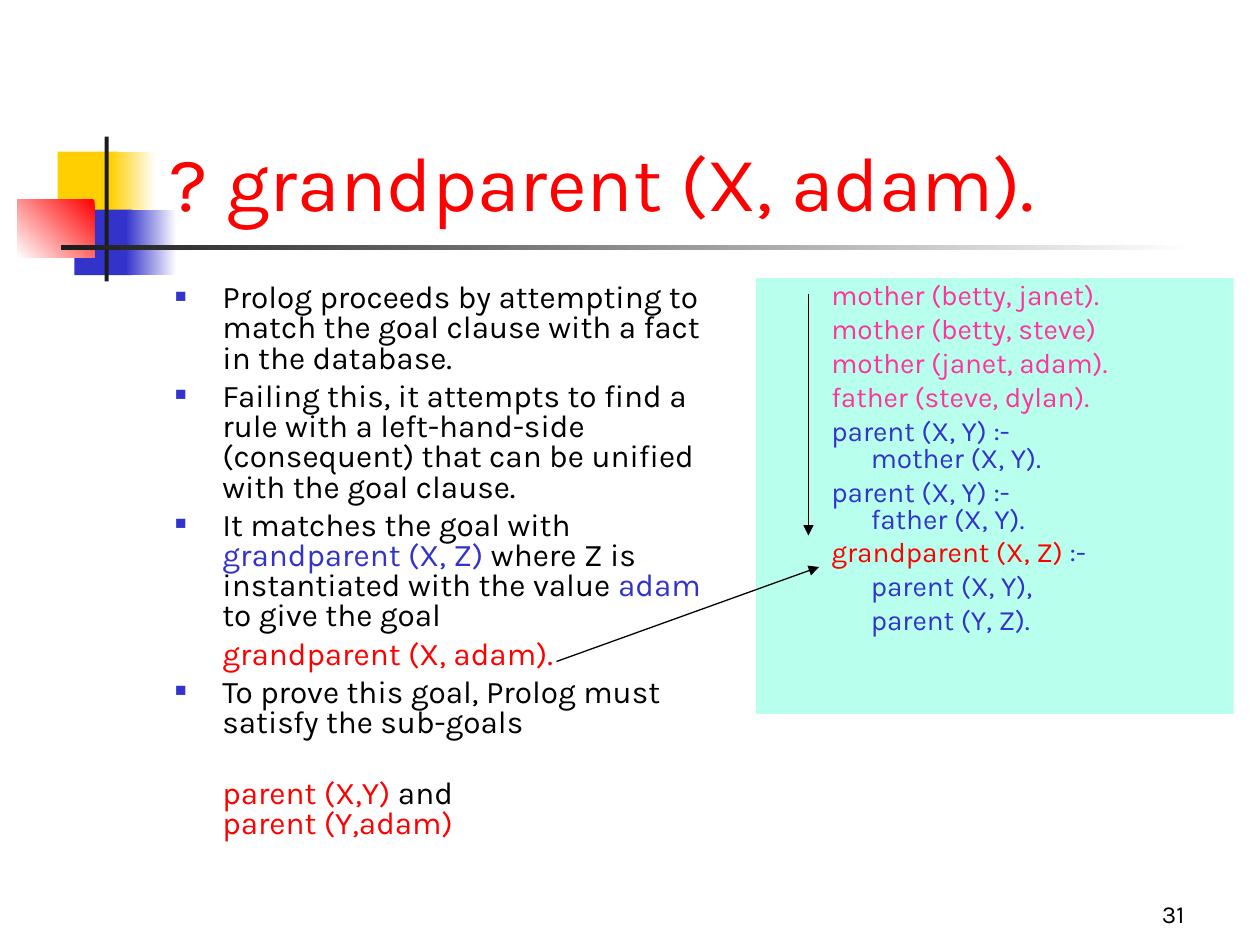
import pptx
import pptx.dml.color
import pptx.enum.shapes
import pptx.enum.text
import pptx.oxml.ns
import pptx.util
from lxml import etree

Pt = pptx.util.Pt
FONT = "Karla"
BLACK, WHITE, RED, BLUE = "000000", "FFFFFF", "FF0000", "3333CC"
YELLOW, CHARCOAL, PINK, MINT = "FFCF01", "1C1C1C", "FF3399", "B9FFED"


def color(hex_string):
    return pptx.dml.color.RGBColor.from_string(hex_string)


def add_element(parent, tag, **attributes):
    return etree.SubElement(parent, pptx.oxml.ns.qn(tag), attributes)


def add_block(slide, box, fill):
    """Add a borderless rectangle; fill is a colour or (start, end, angle)."""
    shape = slide.shapes.add_shape(
        pptx.enum.shapes.MSO_SHAPE.RECTANGLE, *map(Pt, box))
    shape.shadow.inherit = False
    shape.line.fill.background()
    if isinstance(fill, str):
        shape.fill.solid()
        shape.fill.fore_color.rgb = color(fill)
    else:
        start, end, angle = fill
        shape.fill.gradient()
        shape.fill.gradient_angle = angle
        for stop, hex_string in zip(shape.fill.gradient_stops, (start, end)):
            stop.color.rgb = color(hex_string)
    return shape


def add_text_frame(slide, box, anchor="TOP"):
    shape = slide.shapes.add_textbox(*map(Pt, box))
    shape.text_frame.word_wrap = True
    shape.text_frame.vertical_anchor = getattr(pptx.enum.text.MSO_ANCHOR, anchor)
    return shape


def add_runs(paragraph, runs, size):
    """Add (text, colour) runs, turning each newline into a line break."""
    for text, hex_string in runs:
        for index, part in enumerate(text.split("\n")):
            if index:
                paragraph.add_line_break()
            if part:
                run = paragraph.add_run()
                run.text = part
                run.font.name = FONT
                run.font.size = Pt(size)
                run.font.color.rgb = color(hex_string)


def add_paragraph(frame, index, runs, size, margin, indent, space_before):
    paragraph = frame.add_paragraph() if index else frame.paragraphs[0]
    paragraph.line_spacing = 0.8
    if index:
        paragraph.space_before = Pt(space_before)
    properties = paragraph._p.get_or_add_pPr()
    properties.set("marL", str(Pt(margin)))
    properties.set("indent", str(Pt(indent)))
    add_runs(paragraph, runs, size)
    return properties


def add_bullet(properties):
    bullet_color = add_element(properties, "a:buClr")
    add_element(bullet_color, "a:srgbClr", val=BLUE)
    add_element(properties, "a:buSzPct", val="60000")
    add_element(properties, "a:buFont", typeface="Arial")
    add_element(properties, "a:buChar", char="■")


def add_ornament(slide, left, top):
    """Add the coloured squares with the crossing bars."""
    parts = [
        ((23, 8.6, 34.5, 37.5), YELLOW),
        ((53, 8.6, 26, 37.5), (WHITE, YELLOW, 180)),
        ((32.5, 41.75, 33, 37.5), BLUE),
        ((62, 41.75, 29, 37.5), (WHITE, BLUE, 180)),
        ((0, 36, 44, 33.25), (RED, WHITE, 225)),
        ((49.75, 0, 2.4, 82.8), CHARCOAL),
        ((24.75, 62.25, 648, 2.5), (WHITE, CHARCOAL, 180)),
    ]
    for (x, y, width, height), fill in parts:
        add_block(slide, (left + x, top + y, width, height), fill)


def add_title(slide, box):
    frame = add_text_frame(slide, box, "BOTTOM").text_frame
    add_runs(frame.paragraphs[0], [("? grandparent (X, adam).", RED)], 44)


def add_explanation(slide, box):
    frame = add_text_frame(slide, box).text_frame
    gap, wide_gap = 4.5, 23
    paragraphs = [
        (True, gap, [("Prolog proceeds by attempting to match the goal clause "
                      "with a fact in the database.", BLACK)]),
        (True, gap, [("Failing this, it attempts to find a rule with a "
                      "left-hand-side (consequent) that can be unified with "
                      "the goal clause.", BLACK)]),
        (True, gap, [("It matches the goal with \n", BLACK),
                     ("grandparent (X, Z)", BLUE),
                     (" where Z is instantiated with the value ", BLACK),
                     ("adam", BLUE),
                     (" to give the goal", BLACK)]),
        (False, gap, [("grandparent (X, adam).", RED)]),
        (True, gap, [("To prove this goal, Prolog must satisfy the sub-goals",
                      BLACK)]),
        (False, wide_gap, [("parent (X,Y)", RED), (" and \n", BLACK),
                           ("parent (Y,adam)", RED)]),
    ]
    for index, (bulleted, space_before, runs) in enumerate(paragraphs):
        properties = add_paragraph(frame, index, runs, 18, 27,
                                   -27 if bulleted else 0, space_before)
        if bulleted:
            add_bullet(properties)


def add_database(slide, box):
    """Add the tinted panel with the facts and rules."""
    add_block(slide, box, MINT)
    frame = add_text_frame(slide, box).text_frame
    hanging = -22.5
    facts = ["mother (betty, janet).", "mother (betty, steve)",
             "mother (janet, adam).", "father (steve, dylan)."]
    clauses = [(hanging, [(fact, PINK)]) for fact in facts]
    clauses += [(hanging, [(f"parent (X, Y) :- \n{parent} (X, Y).", BLUE)])
                for parent in ("mother", "father")]
    clauses.append((hanging, [("grandparent (X, Z)", RED), (" :-", BLUE)]))
    clauses += [(0, [(goal, BLUE)])
                for goal in ("parent (X, Y),", "parent (Y, Z).")]
    for index, (indent, runs) in enumerate(clauses):
        add_paragraph(frame, index, runs, 16, 58.5, indent, 4)


def add_arrow(slide, start, end):
    connector = slide.shapes.add_connector(
        pptx.enum.shapes.MSO_CONNECTOR.STRAIGHT, *map(Pt, start + end))
    connector.line.color.rgb = color(BLACK)
    connector.line.width = Pt(0.75)
    add_element(connector.line._get_or_add_ln(), "a:tailEnd", type="triangle")
    add_element(connector._element.spPr, "a:effectLst")


def add_page_number(slide, box):
    paragraph = add_text_frame(slide, box, "BOTTOM").text_frame.paragraphs[0]
    paragraph.alignment = pptx.enum.text.PP_ALIGN.RIGHT
    add_runs(paragraph, [("31", BLACK)], 14)


def main():
    presentation = pptx.Presentation()
    presentation.slide_width, presentation.slide_height = Pt(720), Pt(540)
    slide = presentation.slides.add_slide(presentation.slide_layouts[6])
    add_ornament(slide, 10, 78)
    add_title(slide, (90, 66, 613.5, 67))
    add_explanation(slide, (93, 159, 327, 324))
    add_database(slide, (432, 159, 273, 249))
    add_arrow(slide, (318, 378), (468, 324))
    add_arrow(slide, (462, 168), (462, 306))
    add_page_number(slide, (534, 498, 150, 36))
    presentation.save("out.pptx")


if __name__ == "__main__":
    main()
